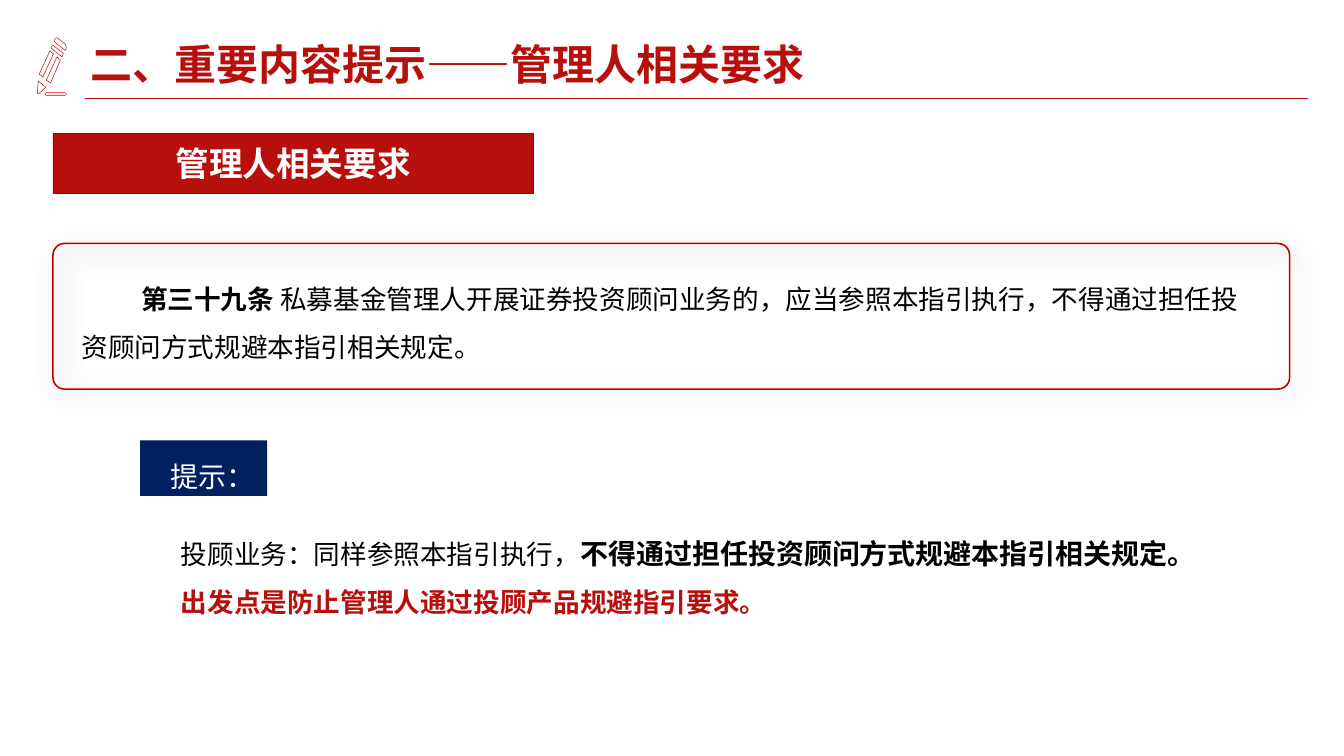
import pptx
import pptx.dml.color
import pptx.enum.shapes
import pptx.enum.text
import pptx.oxml
import pptx.oxml.ns
import pptx.util
from pptx.util import Cm

COLORS = {
    "red": "B70F0C", "dark_red": "870B09", "frame_red": "C00000",
    "navy": "002060", "white": "FFFFFF", "black": "000000",
}
CJK_FONT = "Noto Sans CJK SC"
ANCHOR = pptx.enum.text.MSO_ANCHOR
ALIGN = pptx.enum.text.PP_ALIGN
FIT = pptx.enum.text.MSO_AUTO_SIZE
SHAPES = pptx.enum.shapes.MSO_SHAPE

# Pencil outlines, in hundredths of an inch
PENCIL = [
    [(92, 184), (129, 184), (131, 185), (131, 188), (129, 189), (92, 189),
     (90, 188), (89, 186), (90, 185)],
    [(92, 159), (113, 113), (120, 119), (100, 165)],
    [(78, 147), (99, 101), (106, 107), (85, 153)],
    [(74, 184), (76, 161), (91, 173), (77, 186), (75, 186)],
    [(104, 89), (101, 95), (123, 113), (126, 106)],
    [(109, 78), (112, 75), (115, 76), (129, 87), (131, 91), (131, 96),
     (129, 100), (107, 82)],
]


def rgb(name):
    return pptx.dml.color.RGBColor.from_string(COLORS[name])


def style_line(line, color, weight):
    line.color.rgb = rgb(color)
    line.width = pptx.util.Pt(weight)


def style_shape(shape, fill=None, line=None, weight=1):
    shape.shadow.inherit = False
    if fill:
        shape.fill.solid()
        shape.fill.fore_color.rgb = rgb(fill)
    else:
        shape.fill.background()
    if line:
        style_line(shape.line, line, weight)
    else:
        shape.line.fill.background()


def add_run(paragraph, text, size, color, bold=False, font=CJK_FONT):
    run = paragraph.add_run()
    run.text = text
    values = {"size": pptx.util.Pt(size), "bold": bold, "name": font}
    for name, value in values.items():
        setattr(run.font, name, value)
    run.font.color.rgb = rgb(color)
    east_asian = pptx.oxml.parse_xml(
        f'<a:ea {pptx.oxml.ns.nsdecls("a")} typeface="{CJK_FONT}"/>')
    run.font._element.find(pptx.oxml.ns.qn("a:latin")).addnext(east_asian)


def write_text(shape, paragraphs, frame_format, paragraph_format,
               margin=0, indent=0):
    """Each paragraph is a list of run tuples: text, size, color, bold, font."""
    frame = shape.text_frame
    for name, value in {"word_wrap": True, **frame_format}.items():
        setattr(frame, name, value)
    for index, runs in enumerate(paragraphs):
        paragraph = frame.add_paragraph() if index else frame.paragraphs[0]
        properties = paragraph._p.get_or_add_pPr()
        properties.set("marL", str(Cm(margin)))
        properties.set("indent", str(Cm(indent)))
        for name, value in paragraph_format.items():
            setattr(paragraph, name, value)
        for run in runs:
            add_run(paragraph, *run)


def add_box(slide, kind, left, top, width, height, **style):
    shape = slide.shapes.add_shape(
        kind, Cm(left), Cm(top), Cm(width), Cm(height))
    style_shape(shape, **style)
    return shape


def add_body_text(slide, left, top, width, height, paragraphs):
    box = slide.shapes.add_textbox(Cm(left), Cm(top), Cm(width), Cm(height))
    write_text(box, paragraphs, {"auto_size": FIT.SHAPE_TO_FIT_TEXT},
               {"line_spacing": 1.5, "alignment": ALIGN.LEFT}, indent=3)


def add_pencil(slide):
    builder = slide.shapes.build_freeform(*PENCIL[0][0], scale=Cm(0.0254))
    for index, outline in enumerate(PENCIL):
        if index:
            builder.move_to(*outline[0])
        builder.add_line_segments(outline[1:], close=True)
    style_shape(builder.convert_to_shape(), "white", "red", 0.75)


def add_rule(slide):
    rule = slide.shapes.add_connector(
        pptx.enum.shapes.MSO_CONNECTOR.STRAIGHT,
        Cm(65.94), Cm(4.95), Cm(4.29), Cm(4.95))
    style_line(rule.line, "red", 0.75)
    rule._element.spPr.append(pptx.oxml.parse_xml(
        f'<a:effectLst {pptx.oxml.ns.nsdecls("a")}/>'))


def add_soft_shadow(shape):
    effects = shape._element.spPr.find(pptx.oxml.ns.qn("a:effectLst"))
    effects.append(pptx.oxml.parse_xml(
        f'<a:outerShdw {pptx.oxml.ns.nsdecls("a")} blurRad="{pptx.util.Pt(38)}" '
        f'dist="{pptx.util.Pt(11)}" dir="2700000" algn="tl" rotWithShape="0">'
        f'<a:srgbClr val="{COLORS["black"]}"><a:alpha val="45000"/></a:srgbClr>'
        '</a:outerShdw>'))


def set_title(slide):
    title = slide.shapes.title
    position = {"left": 4.29, "top": 1.78, "width": 58.42, "height": 3.15}
    for name, value in position.items():
        setattr(title, name, Cm(value))
    write_text(title, [[
        ("二、重要内容提示——", 60, "red", True),
        ("管理人相关要求", 60, "red", True, "Montserrat"),
    ]], {"vertical_anchor": ANCHOR.MIDDLE, "auto_size": FIT.NONE},
        {"line_spacing": 0.9, "alignment": ALIGN.LEFT})


def main():
    presentation = pptx.Presentation()
    presentation.slide_width = Cm(67.74)
    presentation.slide_height = Cm(38.1)
    slide = presentation.slides.add_slide(presentation.slide_layouts[5])

    # Heading
    add_pencil(slide)
    add_rule(slide)
    set_title(slide)

    # Section banner
    banner = add_box(slide, SHAPES.RECTANGLE, 2.67, 6.73, 24.21, 3,
                     fill="red", line="dark_red")
    write_text(banner, [[("管理人相关要求", 48, "white", True, "Arial")]],
               {"vertical_anchor": ANCHOR.MIDDLE}, {"alignment": ALIGN.CENTER})

    # Framed article
    frame = add_box(slide, SHAPES.ROUNDED_RECTANGLE, 2.67, 12.27, 62.33, 7.34,
                    line="frame_red", weight=2.25)
    frame.adjustments[0] = 0.08
    add_soft_shadow(frame)
    add_body_text(slide, 3.86, 13.31, 58.88, 7.57, [[
        ("第三十九条 ", 38, "black", True),
        ("私募基金管理人开展证券投资顾问业务的，应当参照本指引执行，"
         "不得通过担任投资顾问方式规避本指引相关规定。", 38, "black"),
    ]])

    # Hint label and notes
    hint = add_box(slide, SHAPES.RECTANGLE, 7.06, 22.2, 6.4, 2.79, fill="navy")
    write_text(hint, [[("提示：", 40, "white", False, "Arial")]],
               {"vertical_anchor": ANCHOR.MIDDLE},
               {"line_spacing": 1.5, "alignment": ALIGN.LEFT}, margin=1.27)
    add_body_text(slide, 5.87, 26.06, 57.79, 4.98, [
        [("投顾业务：同样参照本指引执行，", 38, "black"),
         ("不得通过担任投资顾问方式规避本指引相关规定。", 40, "black", True)],
        [("出发点是防止管理人通过投顾产品规避指引要求。", 38, "red", True)],
    ])

    presentation.save("out.pptx")


if __name__ == "__main__":
    main()
